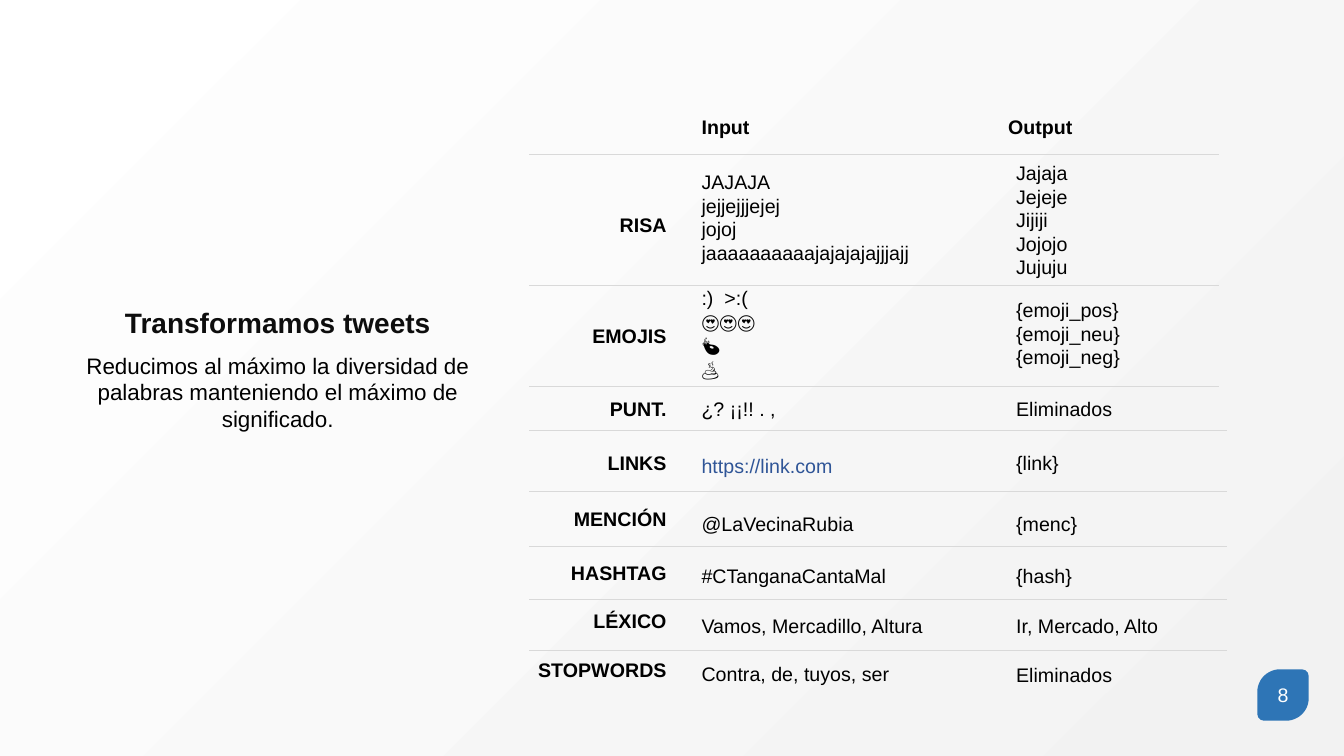
from lxml import etree
from pptx import Presentation
from pptx.dml.color import RGBColor
from pptx.enum.shapes import MSO_CONNECTOR, MSO_SHAPE
from pptx.enum.text import MSO_ANCHOR, MSO_AUTO_SIZE, PP_ALIGN
from pptx.oxml.ns import qn
from pptx.util import Inches, Pt

BLACK = RGBColor(0x00, 0x00, 0x00)
INK = RGBColor(0x0D, 0x0D, 0x0D)
WHITE = RGBColor(0xFF, 0xFF, 0xFF)
PALE = RGBColor(0xF2, 0xF2, 0xF2)
RULE = RGBColor(0xD9, 0xD9, 0xD9)
LINK = RGBColor(0x2F, 0x55, 0x97)
BLUE = RGBColor(0x2E, 0x75, 0xB6)

TITLE = "Transformamos tweets"
SUMMARY = ("Reducimos al máximo la diversidad de palabras "
           "manteniendo el máximo de significado.")
PAGE = "8"

# Each cell is its top in inches and its lines
HEADERS = [("Input", 6.86), ("Output", 9.9)]
ROWS = [
    ((2.06, ["RISA"]),
     (1.64, ["JAJAJA", "jejjejjjejej", "jojoj", "jaaaaaaaaaajajajajajjjajj"]),
     (1.55, ["Jajaja", "Jejeje", "Jijiji", "Jojojo", "Jujuju"])),
    ((3.16, ["EMOJIS"]),
     (2.79, [":)  >:(", "😍😍😍", "🍆", "💩"]),
     (2.91, ["{emoji_pos}", "{emoji_neu}", "{emoji_neg}"])),
    ((3.89, ["PUNT."]), (3.89, ["¿? ¡¡!! . ,"]), (3.89, ["Eliminados"])),
    ((4.42, ["LINKS"]), (4.45, ["https://link.com"]), (4.42, ["{link}"])),
    ((4.98, ["MENCIÓN"]), (5.03, ["@LaVecinaRubia"]), (5.03, ["{menc}"])),
    ((5.52, ["HASHTAG"]), (5.54, ["#CTanganaCantaMal"]), (5.54, ["{hash}"])),
    ((5.99, ["LÉXICO"]), (6.04, ["Vamos, Mercadillo, Altura"]),
     (6.04, ["Ir, Mercado, Alto"])),
    ((6.48, ["STOPWORDS"]), (6.52, ["Contra, de, tuyos, ser"]),
     (6.53, ["Eliminados"])),
]
COLUMNS = [(5.1, 1.61), (6.86, 3.0), (9.98, 2.11)]  # left, width
RULES_SHORT = [1.53, 2.83, 3.83]
RULES_LONG = [4.27, 4.87, 5.42, 5.95, 6.45]
RULE_LEFT, SHORT_RIGHT, LONG_RIGHT = 5.25, 12.09, 12.17
LINE_HEIGHT, PADDING = 0.235, 0.1


def fill_text(shape, lines, size=14, color=BLACK, bold=False,
              align=PP_ALIGN.LEFT, anchor=MSO_ANCHOR.TOP):
    tf = shape.text_frame
    tf.word_wrap = True
    tf.vertical_anchor = anchor
    tf.text = "\n".join(lines)
    for p in tf.paragraphs:
        p.alignment = align
        p.font.name = "Arial"
        p.font.size = Pt(size)
        p.font.bold = bold
        p.font.color.rgb = color
    return tf


def add_text(s, left, top, width, height, lines, **style):
    box = s.shapes.add_textbox(Inches(left), Inches(top),
                               Inches(width), Inches(height))
    fill_text(box, lines, **style).auto_size = MSO_AUTO_SIZE.SHAPE_TO_FIT_TEXT


def add_rule(s, y, right):
    line = s.shapes.add_connector(MSO_CONNECTOR.STRAIGHT, Inches(RULE_LEFT),
                                  Inches(y), Inches(right), Inches(y))
    line.line.color.rgb = RULE
    line.line.width = Pt(0.5)
    sp_pr = line._element.find(qn("p:spPr"))
    etree.SubElement(sp_pr, qn("a:effectLst"))


def add_grid(s):
    for label, left in HEADERS:
        add_text(s, left, 1.09, 1.35, 0.34, [label], bold=True)
    for row in ROWS:
        for col, (top, lines) in enumerate(row):
            left, width = COLUMNS[col]
            is_label = col == 0
            add_text(s, left, top, width, PADDING + LINE_HEIGHT * len(lines),
                     lines, bold=is_label,
                     align=PP_ALIGN.RIGHT if is_label else PP_ALIGN.LEFT,
                     color=LINK if lines[0].startswith("https") else BLACK)
    for y in RULES_SHORT:
        add_rule(s, y, SHORT_RIGHT)
    for y in RULES_LONG:
        add_rule(s, y, LONG_RIGHT)


def add_page_badge(s):
    badge = s.shapes.add_shape(MSO_SHAPE.ROUND_2_DIAG_RECTANGLE, Inches(12.47),
                               Inches(6.64), Inches(0.51), Inches(0.51))
    badge.adjustments[0] = 0.44
    badge.adjustments[1] = 0.13
    badge.shadow.inherit = False
    badge.fill.solid()
    badge.fill.fore_color.rgb = BLUE
    badge.line.fill.background()
    tf = fill_text(badge, [PAGE], color=WHITE, align=PP_ALIGN.CENTER,
                   anchor=MSO_ANCHOR.MIDDLE)
    tf.margin_left = tf.margin_right = Inches(0.04)
    tf.margin_top = tf.margin_bottom = Inches(0.04)


def main():
    prs = Presentation()
    prs.slide_width, prs.slide_height = Inches(13.33), Inches(7.5)
    s = prs.slides.add_slide(prs.slide_layouts[5])

    bg = s.background.fill
    bg.gradient()
    bg.gradient_angle = 315
    for stop, color in zip(bg.gradient_stops, (WHITE, PALE)):
        stop.color.rgb = color

    title = s.shapes.title
    title.left, title.top = Inches(0.85), Inches(2.98)
    title.width, title.height = Inches(3.81), Inches(0.44)
    tf = fill_text(title, [TITLE], size=20, color=INK, bold=True,
                   align=PP_ALIGN.CENTER)
    tf.auto_size = MSO_AUTO_SIZE.SHAPE_TO_FIT_TEXT
    add_text(s, 0.57, 3.44, 4.37, 0.91, [SUMMARY], size=16,
             align=PP_ALIGN.CENTER)

    add_grid(s)
    add_page_badge(s)
    prs.save("out.pptx")


if __name__ == "__main__":
    main()
